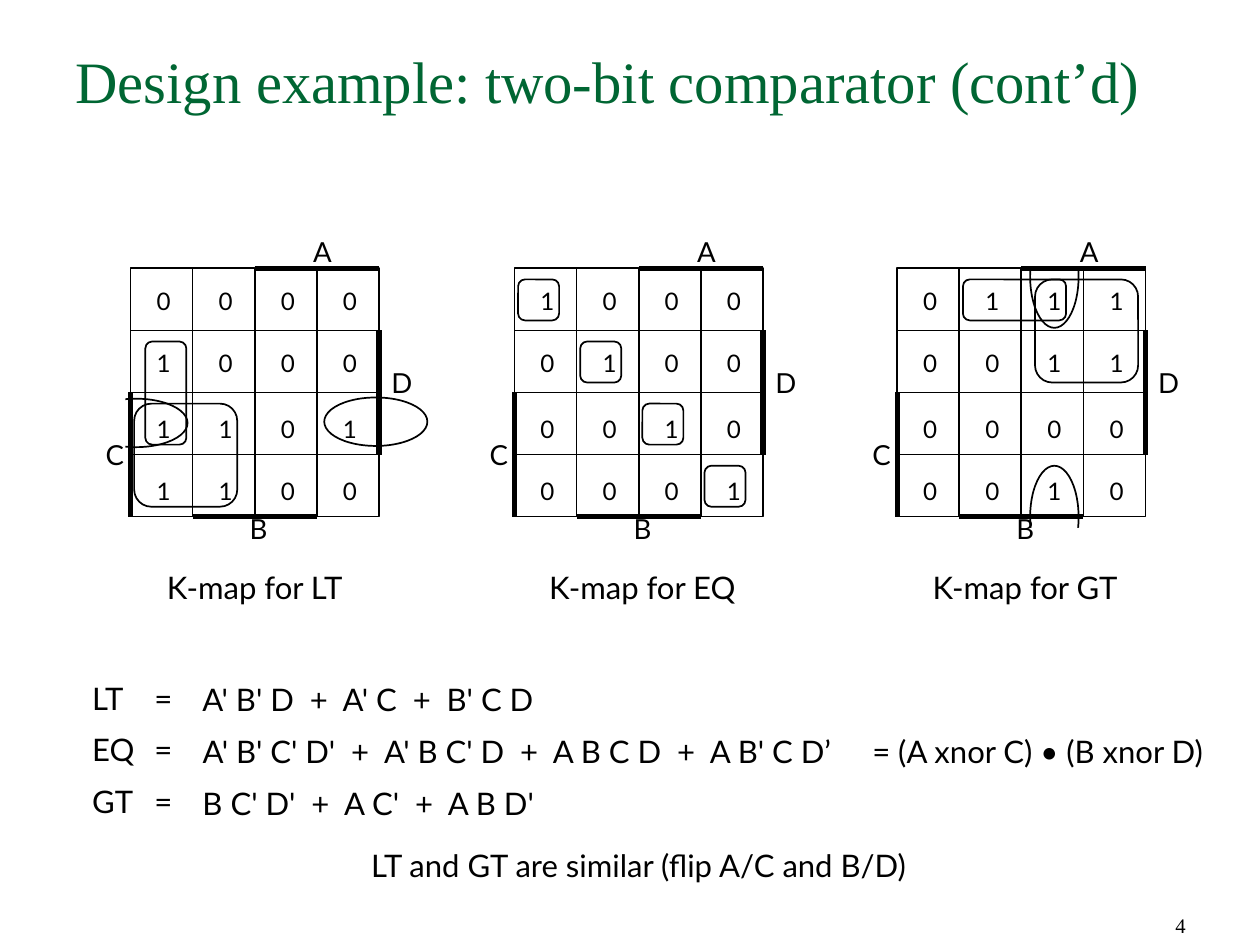
from dataclasses import dataclass

from lxml import etree
from pptx import Presentation
from pptx import util as u
from pptx.dml.color import RGBColor
from pptx.enum import shapes, text
from pptx.oxml import ns

PX = 9144


@dataclass(frozen=True)
class Theme:
    ink: RGBColor = RGBColor(0x00, 0x00, 0x00)
    paper: RGBColor = RGBColor(0xFF, 0xFF, 0xFF)
    title_color: RGBColor = RGBColor(0x00, 0x66, 0x33)
    serif: str = "Times New Roman"
    sans: str = "Lato"
    title: int = 34
    body: int = 18
    label: int = 16
    cell: int = 14
    number: int = 12
    thin: int = 1
    thick: int = 3


T = Theme()
HALF = 100
OVAL = shapes.MSO_SHAPE.OVAL
RECT = shapes.MSO_SHAPE.RECTANGLE
ROUND = shapes.MSO_SHAPE.ROUNDED_RECTANGLE
CENTER = text.PP_ALIGN.CENTER


def px(*values):
    return [u.Emu(v * PX) for v in values]


def add_text(s, box, lines, size, font=T.sans, color=T.ink, align=None, leading=None,
             before=0, after=0, tabs=(), inset=(2, 3), wrap=False,
             anchor=text.MSO_ANCHOR.TOP):
    tf = s.shapes.add_textbox(*px(*box)).text_frame
    tf.word_wrap = wrap
    tf.vertical_anchor = anchor
    tf.margin_left, tf.margin_top = px(*inset)
    tf.margin_right, tf.margin_bottom = px(*inset)
    for i, line in enumerate(lines):
        p = tf.paragraphs[0] if i == 0 else tf.add_paragraph()
        p.alignment = align
        if leading:
            p.line_spacing = u.Pt(leading)
        if before and i:
            p.space_before = u.Pt(before)
        if after:
            p.space_after = u.Pt(after)
        if tabs:
            tab_list = etree.SubElement(p._p.get_or_add_pPr(), ns.qn("a:tabLst"))
            for pos in tabs:
                etree.SubElement(tab_list, ns.qn("a:tab"), pos=str(pos * PX), algn="l")
        r = p.add_run()
        r.text = line
        r.font.name = font
        r.font.size = u.Pt(size)
        r.font.color.rgb = color


def add_outline(s, kind, box):
    sp = s.shapes.add_shape(kind, *px(*box))
    sp.shadow.inherit = False
    sp.fill.background()
    sp.line.color.rgb = T.ink
    sp.line.width = u.Pt(T.thin)
    return sp


def add_mask(s, box):
    sp = add_outline(s, RECT, box)
    sp.fill.solid()
    sp.fill.fore_color.rgb = T.paper
    sp.line.fill.background()


def add_line(s, width, start=(0, 0), end=(0, 0), joins=None):
    c = s.shapes.add_connector(shapes.MSO_CONNECTOR.STRAIGHT, *px(*start, *end))
    if joins:
        (first, first_side), (last, last_side) = joins
        c.begin_connect(first, first_side)
        c.end_connect(last, last_side)
    c.line.color.rgb = T.ink
    c.line.width = u.Pt(width)
    etree.SubElement(c._element.spPr, ns.qn("a:effectLst"))


def quadrant(s, x, y, rows, text_dy):
    add_text(s, (x + 19, y + text_dy, 90, 89), ["\t".join(row) for row in rows],
             T.cell, leading=18, before=18, tabs=(50, 100, 150))
    sp = add_outline(s, RECT, (x, y, HALF, HALF))
    add_line(s, T.thin, joins=((sp, 0), (sp, 2)))
    add_line(s, T.thin, joins=((sp, 1), (sp, 3)))
    return sp


def k_map(s, x, y, name, caption_width, rows, groups):
    for kind, (dx, dy, w, h) in groups:
        box = (x + dx, y + dy, w, h)
        if kind is RECT:
            add_mask(s, box)
        else:
            add_outline(s, kind, box)
    quads = {}
    for i in range(2):
        for j in range(2):
            values = [row[2 * j:2 * j + 2] for row in rows[2 * i:2 * i + 2]]
            quads[i, j] = quadrant(s, x + j * HALF, y + i * HALF, values, 10 + 3 * i)
    add_line(s, T.thick, (x + HALF, y), (x + 2 * HALF, y))
    add_line(s, T.thick, (x, y + HALF), (x, y + 2 * HALF))
    add_line(s, T.thick, joins=((quads[0, 1], 3), (quads[1, 1], 3)))
    add_line(s, T.thick, joins=((quads[1, 0], 2), (quads[1, 1], 2)))
    for letter, dx, dy, w in (("A", 145, -25, 64), ("B", 94, 198, 64),
                              ("C", -22, 138, 20), ("D", 208, 80, 64)):
        add_text(s, (x + dx, y + dy, w, 36), [letter], T.label, leading=16)
    add_text(s, (x + 3, y + 238, caption_width, 72), [f"K-map for {name}"], T.body,
             align=CENTER, leading=22, after=20)


def equations(s, x, y):
    style = dict(size=T.body, leading=30, tabs=(50,))
    add_text(s, (x, y, 97, 139), ["LT\t=", "EQ\t=", "GT\t="], align=CENTER, **style)
    formulas = (
        (644, "A' B' D  +  A' C  +  B' C D"),
        (539, "A' B' C' D'  +  A' B C' D  +  A B C D  +  A B' C D’"),
        (644, "B C' D'  +  A C'  +  A B D'"),
    )
    for i, (width, formula) in enumerate(formulas):
        add_text(s, (x + 103, y + 1 + 42 * i, width, 54), [formula], **style)
    add_text(s, (x + 642, y + 43, 289, 50), ["= (A xnor C) • (B xnor D)"], **style)
    add_text(s, (x + 134, y + 135, 644, 58),
             ["LT and GT are similar (flip A/C and B/D)"], align=CENTER, **style)


def heading(s, box):
    add_text(s, box, ["Design example: two-bit comparator (cont’d)"], T.title, T.serif,
             T.title_color, inset=(10, 5), wrap=True)


def slide_number(s, box):
    add_text(s, box, ["4"], T.number, T.serif, align=text.PP_ALIGN.RIGHT,
             inset=(10, 5), wrap=True, anchor=text.MSO_ANCHOR.BOTTOM)


LT_GROUPS = (
    (OVAL, (156, 104, 83, 39)),
    (OVAL, (-37, 105, 83, 39)),
    (RECT, (-55, 102, 51, 46)),
    (ROUND, (3, 109, 83, 83)),
    (ROUND, (12, 59, 33, 83)),
)
EQ_GROUPS = [(ROUND, (3 + 50 * i, 9 + 50 * i, 33, 33)) for i in range(4)]
GT_GROUPS = (
    (OVAL, (107, -35, 39, 83)),
    (RECT, (103, -52, 46, 51)),
    (OVAL, (107, 159, 39, 83)),
    (RECT, (104, 209, 46, 51)),
    (ROUND, (111, 9, 83, 83)),
    (ROUND, (53, 9, 83, 33)),
)
K_MAPS = (
    (105, "LT", 194, ("0000", "1000", "1101", "1100"), LT_GROUPS),
    (414, "EQ", 200, ("1000", "0100", "0010", "0001"), EQ_GROUPS),
    (722, "GT", 200, ("0111", "0011", "0000", "0010"), GT_GROUPS),
)


def main():
    prs = Presentation()
    prs.slide_width, prs.slide_height = px(1014, 760)
    s = prs.slides.add_slide(prs.slide_layouts[6])
    heading(s, (51, 31, 912, 126))
    for x, *content in K_MAPS:
        k_map(s, x, 216, *content)
    equations(s, 58, 532)
    slide_number(s, (727, 709, 237, 51))
    prs.save("out.pptx")


if __name__ == "__main__":
    main()
